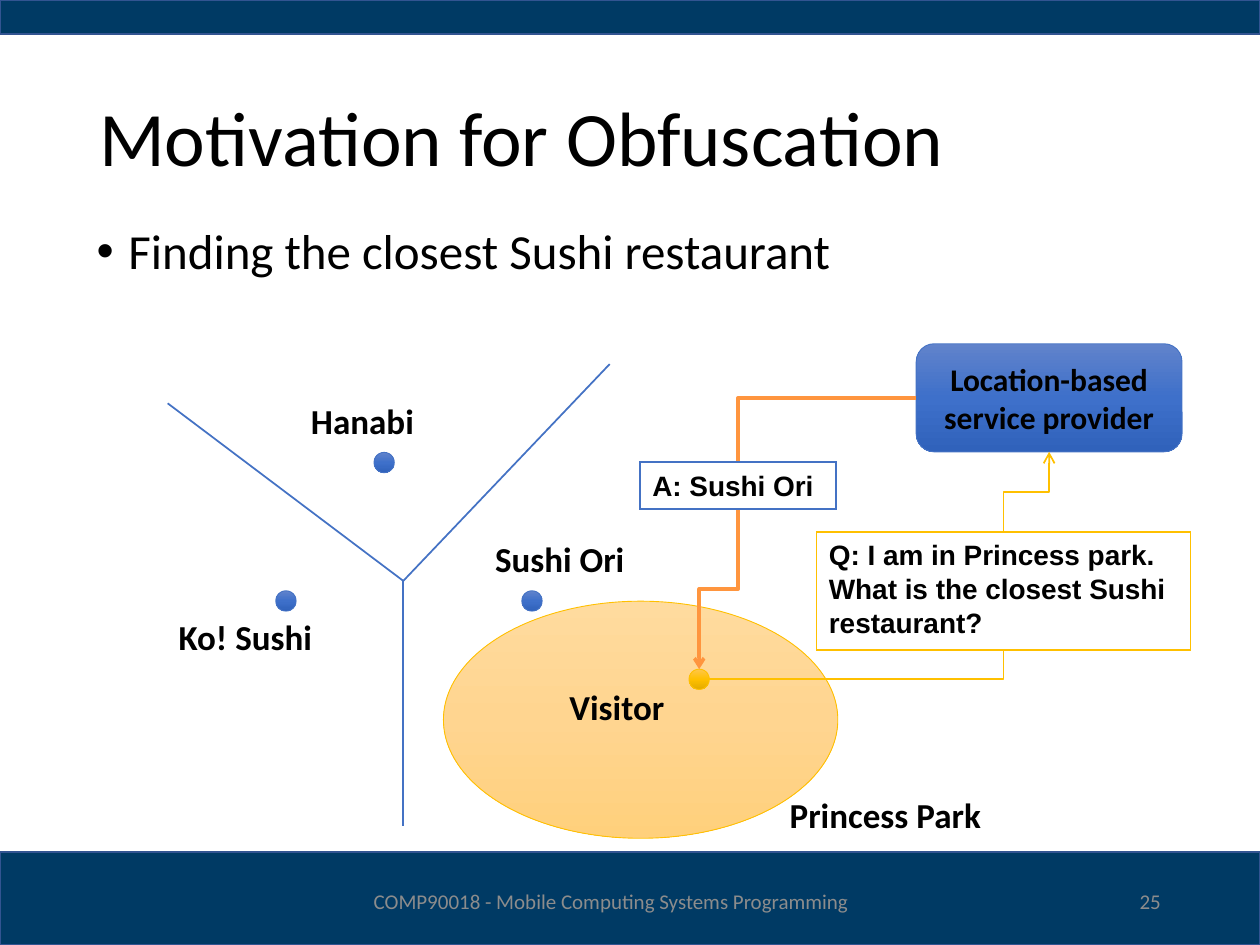
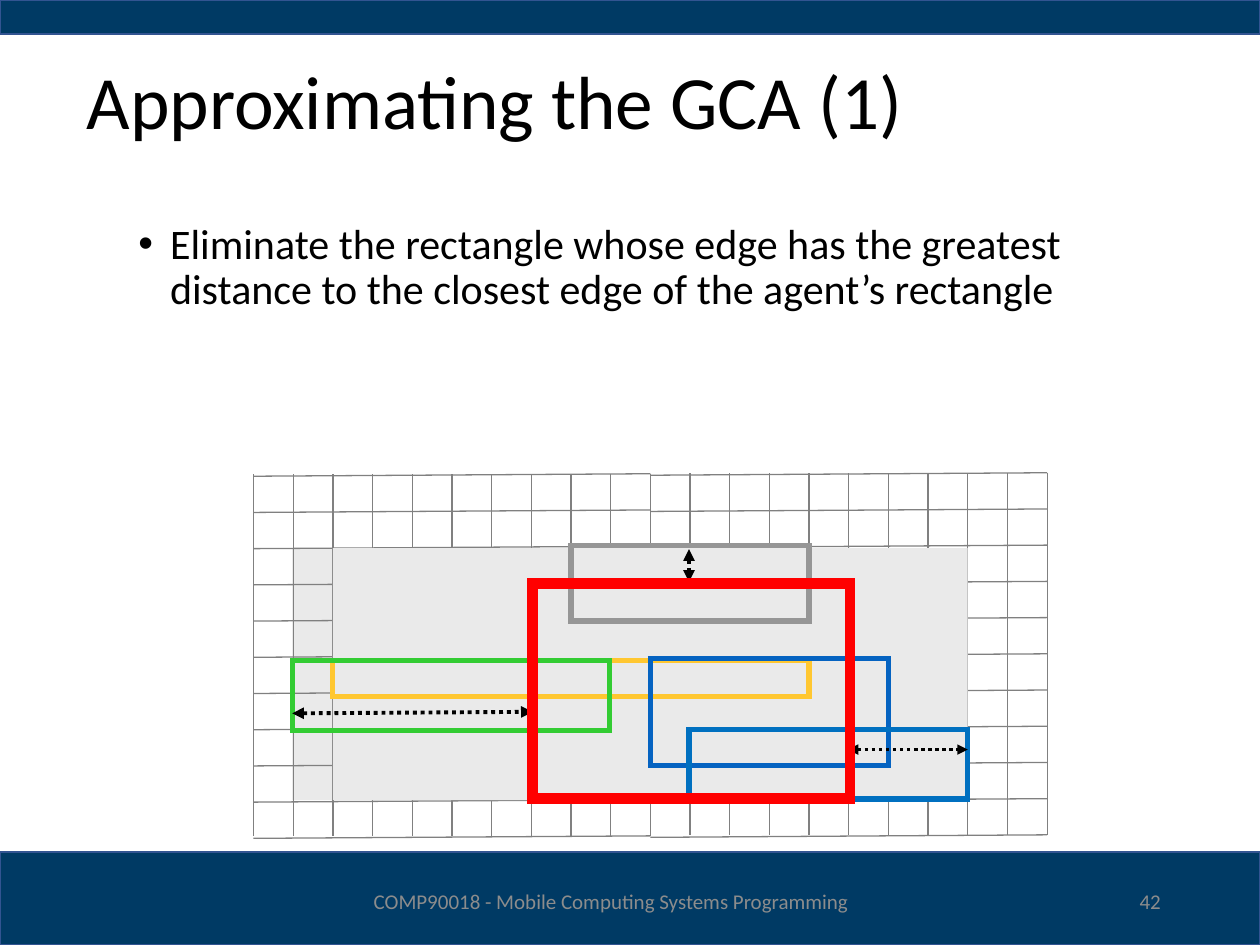
from copy import deepcopy
from dataclasses import dataclass

from lxml.etree import SubElement
from pptx import Presentation
from pptx.dml.color import RGBColor
from pptx.enum.dml import MSO_LINE
from pptx.enum.shapes import MSO_CONNECTOR, MSO_SHAPE
from pptx.enum.text import MSO_ANCHOR, MSO_AUTO_SIZE, PP_ALIGN
from pptx.oxml.ns import qn
from pptx.util import Cm, Pt


@dataclass(frozen=True)
class Theme:
    font: str = "Calibri"
    message_font: str = "Arial"
    text: str = "000000"
    footer_text: str = "8C8C8C"
    band: str = "003A64"
    band_line: str = "325491"
    white: str = "FFFFFF"
    blue: str = "4472C4"
    gold: str = "FFC000"
    orange: str = "FF953E"
    area: str = "EAEAEA"
    grid: str = "808080"
    blue_gradient: tuple = ("6183CB", "3E70CA", "3062BB")
    gold_gradient: tuple = ("FFC64B", "FFC000", "E3AB00")
    park_gradient: tuple = ("FFDB9E", "FFD590", "FFD07C")
    label_size: int = 20
    provider_size: int = 18
    message_size: int = 16
    footer_size: int = 12


THEME = Theme()

# Shared content; boxes are left, top, width, height in centimetres
FOOTER = "COMP90018 - Mobile Computing Systems Programming"
FOOTER_BOX = (6.68, 17.65, 11.28, 1.02)
NUMBER_BOX = (17.93, 17.65, 5.72, 1.02)
BANDS = [(0, 17.17, 25.4, 1.88), (0, 0, 25.4, 0.69)]

# Slide 25: restaurants, visitor and service provider
MOTIVATION = {
    "title": ("Motivation for Obfuscation", (1.75, 1.02, 21.89, 3.68), 44),
    "bullet": ("Finding the closest Sushi restaurant", (1.7, 4.45, 22.66, 1.9), 28, 0),
    "number": "25",
}
PARK_BOX = (8.94, 12.12, 7.95, 4.78)
BORDER_HUB = (8.13, 11.71)
BORDER_ENDS = [(3.38, 8.13), (12.29, 7.34), (8.13, 16.66)]
DOT_SIZE = 0.41
RESTAURANT_DOTS = [(10.52, 11.91), (7.54, 9.12), (5.56, 11.91)]
VISITOR_DOT = (13.89, 13.49)
PLACE_LABELS = [
    ("Ko! Sushi", (3.35, 12.29, 3.78, 1.12)),
    ("Hanabi", (6.02, 7.92, 3.0, 1.12)),
    ("Sushi Ori", (9.73, 10.72, 3.86, 1.12)),
    ("Visitor", (11.23, 13.69, 2.72, 1.12)),
    ("Princess Park", (15.67, 15.88, 4.39, 1.12)),
]
PROVIDER = ("Location-based service provider", (18.47, 6.93, 5.36, 2.18))
QUESTION = (
    ["Q: I am in Princess park.", "What is the closest Sushi", "restaurant?"],
    (16.46, 10.72, 7.54, 2.39),
)
ANSWER = (["A: Sushi Ori"], (12.9, 9.32, 3.96, 0.94))

# Slide 42: rectangles on a grid of two panels
APPROXIMATION = {
    "title": ("Approximating the GCA (1)", (1.5, 0.91, 22.4, 2.41), 43),
    "bullet": (
        "Eliminate the rectangle whose edge has the greatest distance "
        "to the closest edge of the agent’s rectangle",
        (1.27, 4.37, 22.86, 4.37), 24, 1,
    ),
    "number": "42",
}
AREA_BEHIND_GRID = (5.89, 11.05, 13.59, 5.08)
AREA_OVER_GRID = (6.71, 11.05, 12.8, 5.08)
PANELS = [(5.11, 9.55), (13.11, 9.53)]
CELLS, CELL_WIDTH, CELL_HEIGHT, ROW_TILT = 10, 0.8, 0.73, 0.05
AGENT_RECTANGLES = [
    ("FFC731", (6.71, 13.31, 9.6, 0.74)),
    ("33CC33", (5.89, 13.31, 6.4, 1.42)),
    ("0563C1", (13.11, 13.28, 4.8, 2.16)),
    ("0070C0", (13.89, 14.71, 5.61, 1.4)),
    ("969696", (11.51, 11.0, 4.8, 1.52)),
]
DISTANCES = [
    ((5.89, 14.38), (10.74, 14.35), 2.25),
    ((17.09, 15.11), (19.51, 15.11), 2),
    ((13.89, 11.07), (13.89, 11.73), 2.25),
]
CHOSEN_RECTANGLE = ("FF0000", (10.74, 11.76, 6.4, 4.34))


def color(value):
    return RGBColor.from_string(value)


def lengths(values):
    return [Cm(value) for value in values]


def write(shape, lines, size, font=THEME.font, tint=THEME.text, bold=False,
          align=PP_ALIGN.LEFT, anchor=MSO_ANCHOR.TOP, wrap=True):
    text_frame = shape.text_frame
    text_frame.text = "\n".join(lines)
    text_frame.word_wrap = wrap
    text_frame.vertical_anchor = anchor
    for paragraph in text_frame.paragraphs:
        paragraph.alignment = align
        for run in paragraph.runs:
            run.font.name = font
            run.font.size = Pt(size)
            run.font.bold = bold
            run.font.color.rgb = color(tint)
    return text_frame


def add_text(slide, text, box, size, **style):
    return write(slide.shapes.add_textbox(*lengths(box)), [text], size, **style)


def add_box(slide, box, fill=None, line=None, width=1.0, kind=MSO_SHAPE.RECTANGLE):
    """Fill is a colour, a tuple of three gradient colours or None."""
    shape = slide.shapes.add_shape(kind, *lengths(box))
    shape.shadow.inherit = False
    if fill is None:
        shape.fill.background()
    elif isinstance(fill, tuple):
        shape.fill.gradient()
        shape.fill.gradient_angle = 270
        first = shape.fill.gradient_stops[0]
        stop_list = shape._element.spPr.find(".//" + qn("a:gsLst"))
        stop_list.insert(1, deepcopy(stop_list[0]))
        stop_list[1].set("pos", "50000")
        first.position = 0
        for stop, tint in zip(shape.fill.gradient_stops, fill):
            stop.color.rgb = color(tint)
    else:
        shape.fill.solid()
        shape.fill.fore_color.rgb = color(fill)
    if line is None:
        shape.line.fill.background()
    else:
        shape.line.color.rgb = color(line)
        shape.line.width = Pt(width)
        SubElement(shape.line._get_or_add_ln(), qn("a:miter"), lim="800000")
    return shape


def add_line(slide, start, end, tint, width, kind=MSO_CONNECTOR.STRAIGHT,
             head=None, tail=None):
    connector = slide.shapes.add_connector(kind, *lengths(start + end))
    connector.line.color.rgb = color(tint)
    connector.line.width = Pt(width)
    line_element = connector.line._get_or_add_ln()
    for tag, arrow in (("a:headEnd", head), ("a:tailEnd", tail)):
        if arrow:
            SubElement(line_element, qn(tag), type=arrow)
    SubElement(connector._element.spPr, qn("a:effectLst"))
    return connector


def add_corner(slide, start, end, tint, width):
    """One bend: across, then up or down."""
    connector = add_line(slide, start, end, tint, width, MSO_CONNECTOR.ELBOW)
    connector._element.spPr.find(qn("a:prstGeom")).set("prst", "bentConnector2")


def add_step(slide, start, end, tint, width):
    """Two bends, vertical first: a horizontal step turned by 90 degrees."""
    middle_x, middle_y = (start[0] + end[0]) / 2, (start[1] + end[1]) / 2
    offset_x, offset_y = start[0] - middle_x, start[1] - middle_y
    connector = add_line(
        slide,
        (middle_x + offset_y, middle_y - offset_x),
        (middle_x - offset_y, middle_y + offset_x),
        tint, width, MSO_CONNECTOR.ELBOW, tail="arrow",
    )
    connector._element.spPr.find(qn("a:xfrm")).set("rot", "5400000")


def side_middle(box, side):
    """Middle of a side: 0 top, 1 left, 2 bottom, 3 right."""
    left, top, width, height = box
    across, down = [(0.5, 0), (0, 0.5), (0.5, 1), (1, 0.5)][side]
    return (left + across * width, top + down * height)


def add_bullet(slide, text, box, size, level):
    paragraph = add_text(slide, text, box, size).paragraphs[0]
    properties = paragraph._p.get_or_add_pPr()
    properties.set("marL", str(Cm(0.64 + 1.27 * level)))
    properties.set("indent", str(-Cm(0.64)))
    SubElement(properties, qn("a:buFont"), typeface="Arial")
    SubElement(properties, qn("a:buChar"), char="•")
    paragraph.line_spacing = 0.9


def start_slide(presentation):
    slide = presentation.slides.add_slide(presentation.slide_layouts[6])
    for box in BANDS:
        add_box(slide, box, THEME.band, THEME.band_line)
    return slide


def add_frame_text(slide, content):
    """Title, bullet, footer and slide number."""
    title, box, size = content["title"]
    text_frame = add_text(slide, title, box, size, anchor=MSO_ANCHOR.MIDDLE)
    text_frame.paragraphs[0].line_spacing = 0.9
    add_bullet(slide, *content["bullet"])
    for text, box, align in ((FOOTER, FOOTER_BOX, PP_ALIGN.CENTER),
                             (content["number"], NUMBER_BOX, PP_ALIGN.RIGHT)):
        add_text(slide, text, box, THEME.footer_size, tint=THEME.footer_text,
                 align=align, anchor=MSO_ANCHOR.MIDDLE)


def build_motivation(presentation):
    slide = start_slide(presentation)
    add_box(slide, PARK_BOX, THEME.park_gradient, THEME.gold, 0.5, MSO_SHAPE.OVAL)
    add_frame_text(slide, MOTIVATION)

    # Borders between the restaurants' regions
    for end in BORDER_ENDS:
        add_line(slide, BORDER_HUB, end, THEME.blue, 1)

    # Places
    visitor_box = VISITOR_DOT + (DOT_SIZE, DOT_SIZE)
    for position in RESTAURANT_DOTS:
        add_box(slide, position + (DOT_SIZE, DOT_SIZE), THEME.blue_gradient,
                THEME.blue, 0.5, MSO_SHAPE.OVAL)
    add_box(slide, visitor_box, THEME.gold_gradient, THEME.gold, 0.5, MSO_SHAPE.OVAL)
    for text, box in PLACE_LABELS:
        add_text(slide, text, box, THEME.label_size, bold=True, wrap=False)

    # Service provider
    provider_text, provider_box = PROVIDER
    provider = add_box(slide, provider_box, THEME.blue_gradient, THEME.blue, 0.5,
                       MSO_SHAPE.ROUNDED_RECTANGLE)
    write(provider, [provider_text], THEME.provider_size, bold=True,
          align=PP_ALIGN.CENTER, anchor=MSO_ANCHOR.MIDDLE)

    # Way of the question and of the answer
    question_box, answer_box = QUESTION[1], ANSWER[1]
    add_step(slide, side_middle(question_box, 0), side_middle(provider_box, 2),
             THEME.gold, 1)
    add_corner(slide, side_middle(visitor_box, 3), side_middle(question_box, 2),
               THEME.gold, 1)
    add_step(slide, side_middle(answer_box, 2), side_middle(visitor_box, 0),
             THEME.orange, 2)
    add_corner(slide, side_middle(provider_box, 1), side_middle(answer_box, 0),
               THEME.orange, 2)
    for (lines, box), line, anchor in ((QUESTION, THEME.gold, MSO_ANCHOR.TOP),
                                       (ANSWER, THEME.blue, MSO_ANCHOR.MIDDLE)):
        text_frame = write(add_box(slide, box, THEME.white, line), lines,
                           THEME.message_size, font=THEME.message_font, bold=True,
                           align=PP_ALIGN.JUSTIFY, anchor=anchor)
        text_frame.auto_size = MSO_AUTO_SIZE.SHAPE_TO_FIT_TEXT


def add_grid(slide):
    for panel, (left, top) in enumerate(PANELS):
        right, bottom = left + CELLS * CELL_WIDTH, top + CELLS * CELL_HEIGHT
        for index in range(CELLS + 1):
            x, y = left + index * CELL_WIDTH, top + index * CELL_HEIGHT
            add_line(slide, (left, y + ROW_TILT), (right, y), THEME.grid, 0.75)
            if panel == 0 or index > 0:
                add_line(slide, (x, bottom), (x, top), THEME.grid, 0.75)


def build_approximation(presentation):
    slide = start_slide(presentation)
    add_box(slide, AREA_BEHIND_GRID, THEME.area)
    add_grid(slide)
    add_box(slide, AREA_OVER_GRID, THEME.area)
    add_frame_text(slide, APPROXIMATION)

    # Rectangles and the distances between their edges
    for tint, box in AGENT_RECTANGLES:
        add_box(slide, box, line=tint, width=3)
    for start, end, width in DISTANCES:
        arrow = add_line(slide, start, end, THEME.text, width,
                         head="triangle", tail="triangle")
        arrow.line.dash_style = MSO_LINE.ROUND_DOT
    tint, box = CHOSEN_RECTANGLE
    add_box(slide, box, line=tint, width=6)


def main():
    presentation = Presentation()
    presentation.slide_width, presentation.slide_height = Cm(25.4), Cm(19.05)
    build_motivation(presentation)
    build_approximation(presentation)
    presentation.save("out.pptx")


if __name__ == "__main__":
    main()
